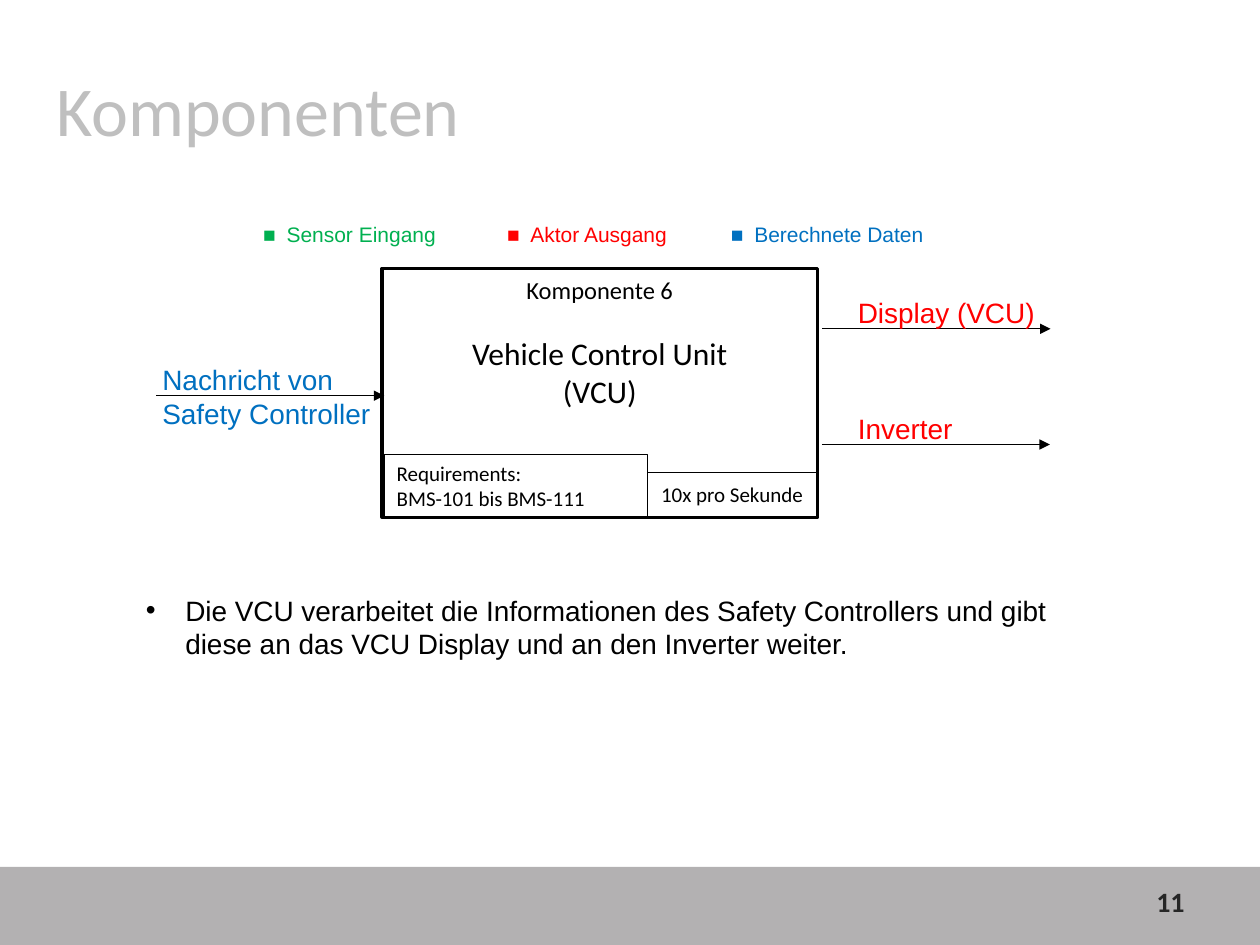
import pptx
import pptx.util
import pptx.dml.color
import pptx.enum.shapes
import pptx.enum.text
import pptx.oxml.ns
import lxml.etree

Pt = pptx.util.Pt
RGB = pptx.dml.color.RGBColor.from_string
qn = pptx.oxml.ns.qn
ALIGN = pptx.enum.text.PP_ALIGN
ANCHOR = pptx.enum.text.MSO_ANCHOR

THEME = {
    "black": "000000", "white": "FFFFFF", "footer": "B3B1B2",
    "number": "262626", "title": "BFBFBF",
    "sensor": "00B050", "actuator": "FF0000", "data": "0070C0",
    "heading": "Calibri", "body": "Arial",
    "title_size": 40, "name_size": 18, "label_size": 16,
    "component_size": 14, "small_size": 12,
}

# Text, colour, start of the marker from the left text edge
LEGEND = [
    ("Sensor Eingang", "sensor", 0),
    ("Aktor Ausgang", "actuator", 139.4),
    ("Berechnete Daten", "data", 267.3),
]
MARKER_WIDTH = 13.4

COMPONENT = [
    ("Komponente 6", "component_size"),
    ("Vehicle Control Unit", "name_size"),
    ("(VCU)", "name_size"),
]
REQUIREMENTS = ["Requirements:", "BMS-101 bis BMS-111"]
SUMMARY = ("Die VCU verarbeitet die Informationen des Safety Controllers und gibt "
           "diese an das VCU Display und an den Inverter weiter.")

ARROW_LENGTH = 130.3
ARROWS = [(89.3, 226.1), (470, 187.9), (469.6, 254)]  # start x, y
# Text, colour, box
SIGNALS = [
    ("Nachricht von Safety Controller", "data", (85.7, 203.8, 137.5, 46)),
    ("Display (VCU)", "actuator", (483.1, 165.6, 118.8, 26.6)),
    ("Inverter", "actuator", (483.1, 231.8, 118.8, 26.6)),
]


def style(p, size, color="black", font="body", bold=False, align=ALIGN.LEFT):
    p.alignment = align
    for r in p.runs:
        r.font.size = Pt(THEME[size])
        r.font.name = THEME[font]
        r.font.bold = bold
        r.font.color.rgb = RGB(THEME[color])


def add_text(s, box, text, size, anchor=ANCHOR.TOP, **look):
    tf = s.shapes.add_textbox(*map(Pt, box)).text_frame
    tf.word_wrap = True
    tf.vertical_anchor = anchor
    tf.text = text
    for p in tf.paragraphs:
        style(p, size, **look)
    return tf


def add_box(s, box, lines, fill="white", line_width=0.75, anchor=ANCHOR.TOP,
            align=ALIGN.CENTER):
    """Add a rectangle; lines holds (text, size name) pairs, one a paragraph."""
    sp = s.shapes.add_shape(pptx.enum.shapes.MSO_SHAPE.RECTANGLE, *map(Pt, box))
    sp.shadow.inherit = False
    sp.fill.solid()
    sp.fill.fore_color.rgb = RGB(THEME[fill])
    if line_width:
        sp.line.color.rgb = RGB(THEME["black"])
        sp.line.width = Pt(line_width)
    else:
        sp.line.fill.background()
    tf = sp.text_frame
    tf.word_wrap = True
    tf.vertical_anchor = anchor
    tf.text = "\n".join(text for text, _ in lines)
    for p, (_, size) in zip(tf.paragraphs, lines):
        style(p, size, font="heading", align=align)
    return tf


def add_arrow(s, x, y):
    c = s.shapes.add_connector(pptx.enum.shapes.MSO_CONNECTOR.STRAIGHT,
                               Pt(x), Pt(y), Pt(x + ARROW_LENGTH), Pt(y))
    c.line.color.rgb = RGB(THEME["black"])
    c.line.width = Pt(0.75)
    lxml.etree.SubElement(c.line._get_or_add_ln(), qn("a:tailEnd"), type="triangle")
    lxml.etree.SubElement(c._element.spPr, qn("a:effectLst"))


def add_legend(s):
    p = add_text(s, (143.3, 123.1, 400.3, 21.6), "", "small_size").paragraphs[0]
    tabs = lxml.etree.SubElement(p._p.get_or_add_pPr(), qn("a:tabLst"))
    for i, (text, color, start) in enumerate(LEGEND):
        stops = (start, start + MARKER_WIDTH) if i else (MARKER_WIDTH,)
        for stop in stops:
            lxml.etree.SubElement(tabs, qn("a:tab"), pos=str(int(Pt(stop))), algn="l")
        r = p.add_run()
        r.text = ("\t" if i else "") + "■\t" + text
        r.font.size = Pt(THEME["small_size"])
        r.font.name = THEME["body"]
        r.font.color.rgb = RGB(THEME[color])


def add_bullet(p, indent):
    pPr = p._p.get_or_add_pPr()
    pPr.set("marL", str(int(Pt(indent))))
    pPr.set("indent", str(-int(Pt(indent))))
    lxml.etree.SubElement(pPr, qn("a:buFont"), typeface=THEME["body"])
    lxml.etree.SubElement(pPr, qn("a:buChar"), char="•")


def main():
    prs = pptx.Presentation()
    prs.slide_width, prs.slide_height = Pt(720), Pt(540)
    s = prs.slides.add_slide(prs.slide_layouts[6])

    add_box(s, (0, 495.4, 720, 44.6), [], fill="footer", line_width=0)
    add_text(s, (516.2, 500.4, 167.8, 28.8), "11", "label_size", ANCHOR.MIDDLE,
             color="number", font="heading", bold=True, align=ALIGN.RIGHT)
    add_text(s, (25.2, 34.6, 504.7, 55.4), "Komponenten", "title_size",
             color="title", font="heading")

    component = add_box(s, (218.2, 153.4, 249.1, 142), COMPONENT, line_width=2)
    component.paragraphs[1].space_before = Pt(17)
    for x, y in ARROWS:
        add_arrow(s, x, y)
    add_box(s, (370.1, 270, 96.5, 25.2), [("10x pro Sekunde", "small_size")],
            anchor=ANCHOR.MIDDLE)
    add_box(s, (219.6, 259.7, 150.5, 35.8),
            [(text, "small_size") for text in REQUIREMENTS], align=ALIGN.LEFT)

    for text, color, box in SIGNALS:
        add_text(s, box, text, "label_size", color=color)
    add_legend(s)
    summary = add_text(s, (76.3, 335.5, 550.1, 46), SUMMARY, "label_size")
    add_bullet(summary.paragraphs[0], 22.5)

    prs.save("out.pptx")


if __name__ == "__main__":
    main()
